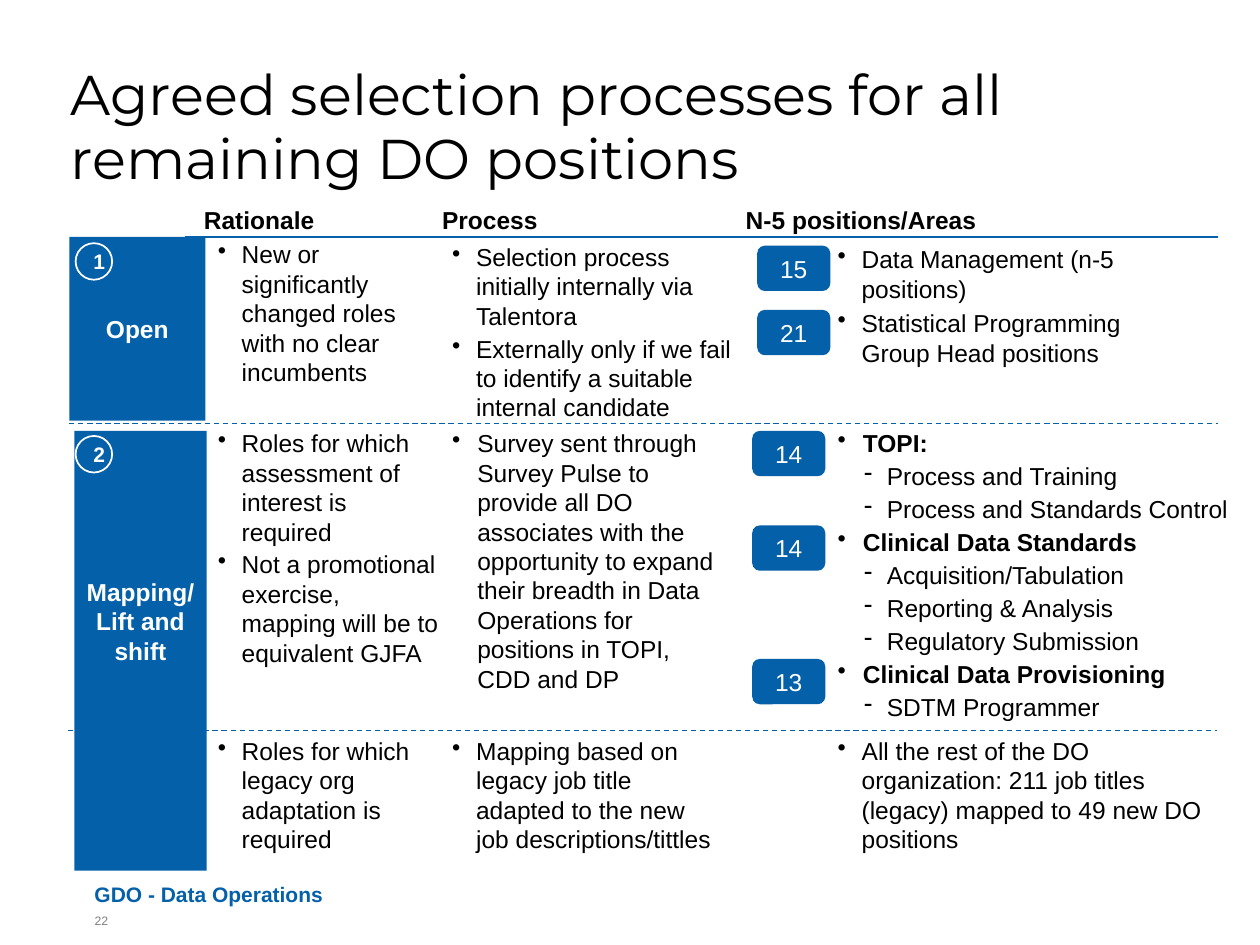
from dataclasses import dataclass

import pptx
import pptx.dml.color
import pptx.enum.dml
import pptx.enum.shapes
import pptx.enum.text
import pptx.oxml
import pptx.oxml.ns
import pptx.util
from pptx.util import Inches

Shape = pptx.enum.shapes.MSO_SHAPE
Anchor = pptx.enum.text.MSO_ANCHOR
Align = pptx.enum.text.PP_ALIGN
AutoSize = pptx.enum.text.MSO_AUTO_SIZE


@dataclass(frozen=True)
class Theme:
    blue: str = "0460A9"
    white: str = "FFFFFF"
    black: str = "000000"
    gray: str = "7F7F7F"
    body_font: str = "Arial"
    title_font: str = "Montserrat"
    title_size: float = 32
    body_size: float = 14
    small_size: float = 12
    number_size: float = 7


@dataclass(frozen=True)
class Box:
    left: float
    top: float
    width: float
    height: float

    def lengths(self) -> list:
        return [Inches(value) for value in (self.left, self.top, self.width, self.height)]


@dataclass(frozen=True)
class Item:
    text: str
    level: int = 0
    bold: bool = False


@dataclass(frozen=True)
class BulletList:
    box: Box
    items: tuple[Item, ...]
    space_after: float = 2
    indent: float = 0.19


@dataclass(frozen=True)
class Panel:
    box: Box
    lines: tuple[str, ...]
    bottom_inset: float = 0.05


@dataclass(frozen=True)
class Rule:
    left: float
    right: float
    top: float
    width: float
    dashed: bool = False


THEME = Theme()
RATIONALE, PROCESS, AREAS = 1.63, 3.49, 6.55
OPEN_ROW, MAPPING_ROW, LEGACY_ROW = 1.88, 3.35, 5.79

HEADINGS = (
    (Box(1.52, 1.58, 2.03, 0.34), "Rationale"),
    (Box(3.41, 1.58, 1.69, 0.34), "Process"),
    (Box(5.82, 1.58, 2.35, 0.34), "N-5 positions/Areas"),
)
PANELS = (
    Panel(Box(0.55, OPEN_ROW, 1.08, 1.46), ("Open",)),
    Panel(Box(0.59, 3.42, 1.05, 3.49), ("Mapping/", "Lift and shift"), 0.52),
)
STEPS = (("1", 1.93), ("2", 3.46))
COUNTS = (("15", 6.01, 1.95), ("21", 6.01, 2.46), ("14", 5.97, 3.42),
          ("14", 5.97, 4.17), ("13", 5.97, 5.23))
RULES = (
    Rule(1.47, 9.67, OPEN_ROW, 1),
    Rule(0.55, 9.67, 3.36, 0.75, True),
    Rule(0.54, 9.66, 5.8, 0.75, True),
)
LISTS = (
    BulletList(Box(RATIONALE, 1.85, 1.92, 1.28), (
        Item("New or significantly changed roles with no clear incumbents"),)),
    BulletList(Box(PROCESS, 1.87, 2.53, 1.54), (
        Item("Selection process initially internally via Talentora"),
        Item("Externally only if we fail to identify a suitable internal candidate"))),
    BulletList(Box(AREAS, 1.89, 2.77, 1.36), (
        Item("Data Management (n-5 positions)"),
        Item("Statistical Programming Group Head positions")), 3),
    BulletList(Box(RATIONALE, MAPPING_ROW, 1.95, 2.28), (
        Item("Roles for which assessment of interest is required"),
        Item("Not a promotional exercise, mapping will be to equivalent GJFA"))),
    BulletList(Box(PROCESS, MAPPING_ROW, 2.31, 2.46), (
        Item("Survey sent through Survey Pulse to provide all DO associates with the "
             "opportunity to expand their breadth in Data Operations for positions in "
             "TOPI, CDD and DP"),), 0, 0.2),
    BulletList(Box(AREAS, MAPPING_ROW, 3.36, 2.45), (
        Item("TOPI:", bold=True),
        Item("Process and Training", 1),
        Item("Process and Standards Control", 1),
        Item("Clinical Data Standards", bold=True),
        Item("Acquisition/Tabulation", 1),
        Item("Reporting & Analysis", 1),
        Item("Regulatory Submission", 1),
        Item("Clinical Data Provisioning", bold=True),
        Item("SDTM Programmer", 1)), 2, 0.2),
    BulletList(Box(RATIONALE, LEGACY_ROW, 1.95, 1.04), (
        Item("Roles for which legacy org adaptation is required"),)),
    BulletList(Box(PROCESS, LEGACY_ROW, 2.31, 1.04), (
        Item("Mapping based on legacy job title adapted to the new job descriptions/tittles"),)),
    BulletList(Box(AREAS, LEGACY_ROW, 3.18, 1.04), (
        Item("All the rest of the DO organization: 211 job titles (legacy) mapped to "
             "49 new DO positions"),), 3),
)


def rgb(color: str):
    return pptx.dml.color.RGBColor.from_string(color)


def format_runs(paragraph, color: str, size: float = THEME.body_size,
                bold: bool = False, font: str = THEME.body_font) -> None:
    for run in paragraph.runs:
        run.font.name = font
        run.font.size = pptx.util.Pt(size)
        run.font.bold = bold
        run.font.color.rgb = rgb(color)


def set_insets(frame, inset: float) -> None:
    frame.margin_left = frame.margin_right = Inches(inset)
    frame.margin_top = frame.margin_bottom = Inches(inset)


def add_text(slide, box: Box, text: str):
    frame = slide.shapes.add_textbox(*box.lengths()).text_frame
    frame.word_wrap = True
    frame.text = text
    return frame


def add_title(slide, box: Box, text: str) -> None:
    title = slide.shapes.title
    title.left, title.top, title.width, title.height = box.lengths()
    frame = title.text_frame
    frame.text = text
    frame.auto_size = AutoSize.NONE
    frame.vertical_anchor = Anchor.TOP
    set_insets(frame, 0)
    paragraph = frame.paragraphs[0]
    paragraph.alignment = Align.LEFT
    paragraph.line_spacing = 0.95
    format_runs(paragraph, THEME.black, THEME.title_size, font=THEME.title_font)


def add_heading(slide, box: Box, text: str) -> None:
    frame = add_text(slide, box, text)
    frame.auto_size = AutoSize.SHAPE_TO_FIT_TEXT
    format_runs(frame.paragraphs[0], THEME.black, bold=True)


def add_footer(slide, box: Box, text: str, color: str, size: float, bold: bool, anchor) -> None:
    frame = add_text(slide, box, text)
    set_insets(frame, 0)
    frame.vertical_anchor = anchor
    format_runs(frame.paragraphs[0], color, size, bold)


def add_filled(slide, kind, box: Box, lines: tuple[str, ...], size: float = THEME.body_size,
               bold: bool = True, outlined: bool = False):
    shape = slide.shapes.add_shape(kind, *box.lengths())
    shape.shadow.inherit = False
    shape.fill.solid()
    shape.fill.fore_color.rgb = rgb(THEME.blue)
    if outlined:
        shape.line.color.rgb = rgb(THEME.white)
        shape.line.width = pptx.util.Pt(1)
    else:
        shape.line.fill.background()
    shape.text_frame.text = "\n".join(lines)
    shape.text_frame.vertical_anchor = Anchor.MIDDLE
    for paragraph in shape.text_frame.paragraphs:
        paragraph.alignment = Align.CENTER
        format_runs(paragraph, THEME.white, size, bold)
    return shape


def add_panel(slide, panel: Panel) -> None:
    frame = add_filled(slide, Shape.RECTANGLE, panel.box, panel.lines).text_frame
    set_insets(frame, 0.05)
    frame.margin_bottom = Inches(panel.bottom_inset)


def add_bullets(slide, bullets: BulletList) -> None:
    frame = add_text(slide, bullets.box, "\n".join(item.text for item in bullets.items))
    frame.auto_size = AutoSize.SHAPE_TO_FIT_TEXT
    for paragraph, item in zip(frame.paragraphs, bullets.items):
        margin, hanging, mark = (0.39, 0.18, "-") if item.level else (bullets.indent, bullets.indent, "•")
        paragraph.level = item.level
        paragraph.space_after = pptx.util.Pt(bullets.space_after)
        properties = paragraph._p.get_or_add_pPr()
        properties.set("marL", str(Inches(margin)))
        properties.set("indent", str(-Inches(hanging)))
        bullet = pptx.oxml.parse_xml(f'<a:buChar {pptx.oxml.ns.nsdecls("a")} char="{mark}"/>')
        properties.append(bullet)
        format_runs(paragraph, THEME.black, bold=item.bold)


def add_rule(slide, rule: Rule) -> None:
    ends = [Inches(value) for value in (rule.left, rule.top, rule.right, rule.top)]
    connector = slide.shapes.add_connector(pptx.enum.shapes.MSO_CONNECTOR.STRAIGHT, *ends)
    connector.line.color.rgb = rgb(THEME.blue)
    connector.line.width = pptx.util.Pt(rule.width)
    if rule.dashed:
        connector.line.dash_style = pptx.enum.dml.MSO_LINE.DASH
    effects = pptx.oxml.parse_xml(f'<a:effectLst {pptx.oxml.ns.nsdecls("a")}/>')
    connector._element.spPr.append(effects)


def main() -> None:
    presentation = pptx.Presentation()
    presentation.slide_width, presentation.slide_height = Inches(10), Inches(7.5)
    slide = presentation.slides.add_slide(presentation.slide_layouts[5])
    add_title(slide, Box(0.56, 0.51, 9.13, 0.54),
              "Agreed selection processes for all remaining DO positions")
    add_footer(slide, Box(0.75, 6.95, 6.5, 0.25), "GDO - Data Operations",
               THEME.blue, THEME.small_size, True, Anchor.BOTTOM)
    add_footer(slide, Box(0.75, 7.25, 0.25, 0.25), "22",
               THEME.gray, THEME.number_size, False, Anchor.TOP)
    for box, text in HEADINGS:
        add_heading(slide, box, text)
    for panel in PANELS:
        add_panel(slide, panel)
    for text, top in STEPS:
        add_filled(slide, Shape.OVAL, Box(0.6, top, 0.29, 0.29), (text,),
                   THEME.small_size, outlined=True)
    for bullets in LISTS:
        add_bullets(slide, bullets)
    for text, left, top in COUNTS:
        add_filled(slide, Shape.ROUNDED_RECTANGLE, Box(left, top, 0.58, 0.36), (text,), bold=False)
    for rule in RULES:
        add_rule(slide, rule)
    presentation.save("out.pptx")


if __name__ == "__main__":
    main()
